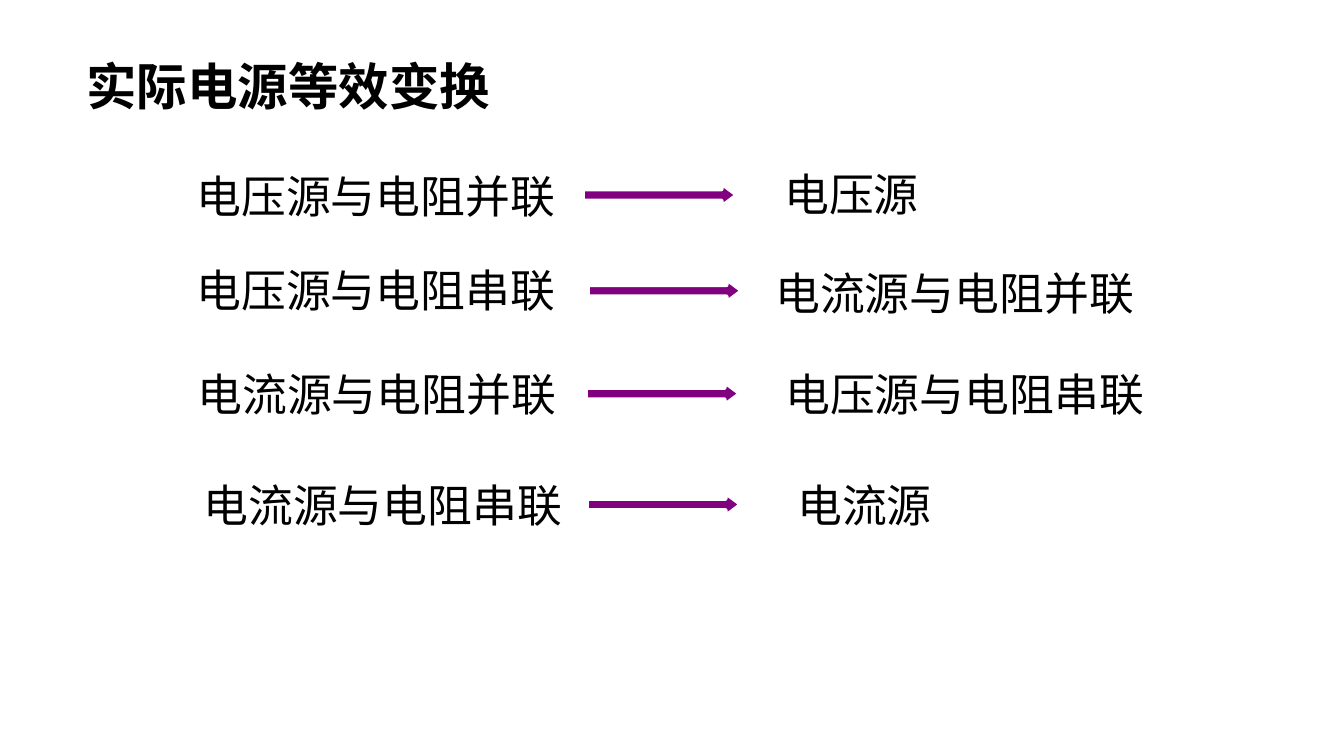
from pptx import Presentation
from pptx.dml.color import RGBColor
from pptx.enum.shapes import MSO_SHAPE
from pptx.enum.text import MSO_AUTO_SIZE
from pptx.oxml.ns import qn
from pptx.util import Inches, Pt
from lxml.etree import SubElement

HAN = "Noto Sans CJK SC"
LATIN = "Times New Roman"
WIDE, SHORT, HIGH = 3.79, 1.55, 0.64

# source text, left, top; arrow left, top; result text, left, top, width
ROWS = [
    (("电压源与电阻并联", 1.85, 1.62, WIDE), (5.78, 1.82),
     ("电压源", 7.68, 1.61, SHORT)),
    (("电压源与电阻串联", 1.85, 2.56, WIDE), (5.83, 2.77),
     ("电流源与电阻并联", 7.59, 2.59, WIDE)),
    (("电流源与电阻并联", 1.86, 3.59, WIDE), (5.81, 3.79),
     ("电压源与电阻串联", 7.69, 3.59, WIDE)),
    (("电流源与电阻串联", 1.92, 4.69, WIDE), (5.82, 4.89),
     ("电流源", 7.81, 4.69, SHORT)),
]


def color(code):
    return RGBColor.from_string(code)


def label(slide, text, left, top, width, high=HIGH, size=32,
          face=LATIN, bold=False, wrap=False):
    box = slide.shapes.add_textbox(
        Inches(left), Inches(top), Inches(width), Inches(high))
    frame = box.text_frame
    frame.text = text
    frame.word_wrap = wrap
    frame.auto_size = MSO_AUTO_SIZE.SHAPE_TO_FIT_TEXT
    run = frame.paragraphs[0].runs[0]
    run.font.size = Pt(size)
    run.font.bold = bold
    run.font.name = face
    run.font.color.rgb = color("000000")
    east = SubElement(run.font._element, qn("a:ea"))
    east.set("typeface", HAN)


def arrow(slide, left, top):
    shape = slide.shapes.add_shape(
        MSO_SHAPE.RIGHT_ARROW,
        Inches(left), Inches(top), Inches(1.53), Inches(0.23))
    shape.adjustments[0] = 0.5
    shape.adjustments[1] = 0.67
    shape.shadow.inherit = False
    shape.fill.solid()
    shape.fill.fore_color.rgb = color("800080")
    shape.line.color.rgb = color("FFFFFF")
    shape.line.width = Pt(3)


def main():
    deck = Presentation()
    deck.slide_width, deck.slide_height = Inches(13.33), Inches(7.5)
    slide = deck.slides.add_slide(deck.slide_layouts[6])
    label(slide, "实际电源等效变换", 0.76, 0.5, 4.75, high=0.71, size=36,
          face=HAN, bold=True, wrap=True)
    for source, place, result in ROWS:
        label(slide, *source)
        arrow(slide, *place)
        label(slide, *result)
    deck.save("out.pptx")


if __name__ == "__main__":
    main()
